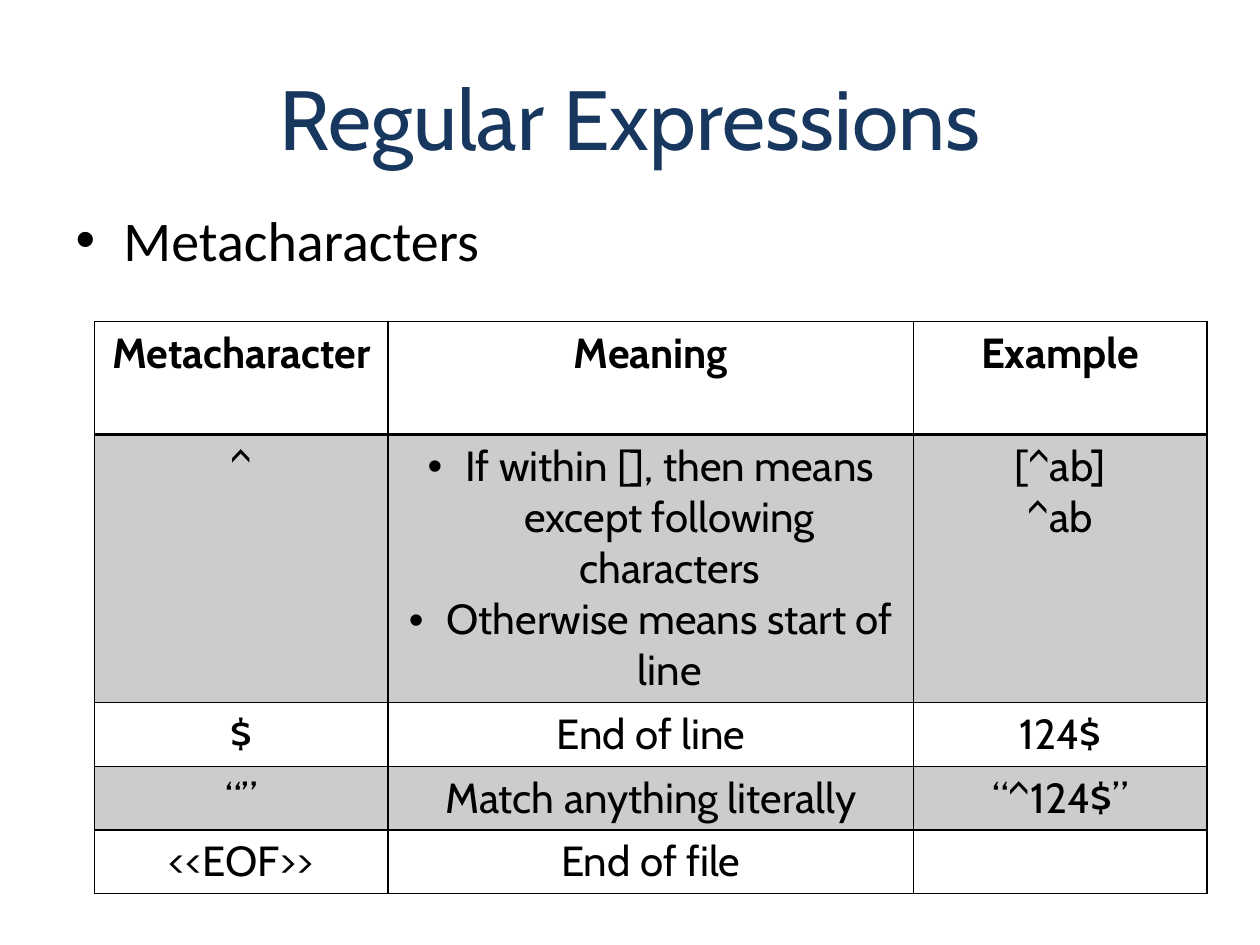
from pptx import Presentation
from pptx import util as u
from pptx.dml.color import RGBColor
from pptx.enum import text
from pptx.oxml import parse_xml
from pptx.oxml.ns import nsdecls, qn

THEME = {
    "title": {"name": "Cabin", "size": u.Pt(48), "color": "17375E"},
    "body": {"name": "Calibri", "size": u.Pt(32), "color": "000000"},
    "header": {"name": "Cabin", "size": u.Pt(24), "bold": True, "color": "000000"},
    "cell": {"name": "Cabin", "size": u.Pt(24), "bold": False, "color": "000000"},
    "line": "000000",
    "band": "000000",
    "band_alpha": 20,
    "thin": 0.96,
    "thick": 1.98,
}
COLUMNS = [2.33, 4.17, 2.33]
ROWS = [0.9, 2.1, 0.5, 0.5, 0.5]
CELLS = [
    ["Metacharacter", "Meaning", "Example"],
    ["^", "If within [], then means except following characters\nOtherwise means start of line",
     "[^ab]\n^ab"],
    ["$", "End of line", "124$"],
    ["“”", "Match anything literally", "“^124$”"],
    ["<<EOF>>", "End of file", ""],
]


def format_paragraph(paragraph, style, alignment, bullet_indent=None):
    """Apply a theme style, and a hanging bullet when an indent in inches is given."""
    paragraph.alignment = alignment
    if bullet_indent:
        properties = paragraph._p.get_or_add_pPr()
        properties.set("marL", str(u.Inches(bullet_indent)))
        properties.set("indent", str(-u.Inches(bullet_indent)))
        for xml in ('<a:buFont {} typeface="Arial"/>', '<a:buChar {} char="•"/>'):
            properties.append(parse_xml(xml.format(nsdecls("a"))))
    for key, value in THEME[style].items():
        if key == "color":
            paragraph.font.color.rgb = RGBColor.from_string(value)
        else:
            setattr(paragraph.font, key, value)


def add_border(cell, side, width):
    cell._tc.get_or_add_tcPr().append(parse_xml(
        f'<a:ln{side} {nsdecls("a")} w="{u.Pt(width)}"><a:solidFill>'
        f'<a:srgbClr val="{THEME["line"]}"/></a:solidFill></a:ln{side}>'))


presentation = Presentation()
presentation.slide_width, presentation.slide_height = u.Inches(10), u.Inches(7.5)
slide = presentation.slides.add_slide(presentation.slide_layouts[1])

# Title and list
title, body = slide.placeholders
for shape, words, box, style, alignment, anchor, indent in [
    (title, "Regular Expressions", (0.5, 0.3, 9, 1.25), "title",
     text.PP_ALIGN.CENTER, text.MSO_ANCHOR.MIDDLE, None),
    (body, "Metacharacters", (0.5, 1.58, 9.33, 5.92), "body",
     text.PP_ALIGN.LEFT, text.MSO_ANCHOR.TOP, 0.38),
]:
    shape.left, shape.top, shape.width, shape.height = map(u.Inches, box)
    frame = shape.text_frame
    frame.text = words
    frame.vertical_anchor = anchor
    frame.auto_size = text.MSO_AUTO_SIZE.NONE
    format_paragraph(frame.paragraphs[0], style, alignment, indent)
    frame.paragraphs[0].space_before = u.Pt(0)

# Metacharacter table
table = slide.shapes.add_table(
    len(ROWS), len(COLUMNS), u.Inches(0.75), u.Inches(2.55),
    u.Inches(sum(COLUMNS)), u.Inches(sum(ROWS))).table
table.horz_banding = False
for column, width in zip(table.columns, COLUMNS):
    column.width = u.Inches(width)

for r, (row, height) in enumerate(zip(table.rows, ROWS)):
    row.height = u.Inches(height)
    for cell, words in zip(row.cells, CELLS[r]):
        cell.text = words
        paragraphs = cell.text_frame.paragraphs
        bulleted = words.startswith("If within")
        for paragraph in paragraphs:
            format_paragraph(paragraph, "cell" if r else "header",
                             text.PP_ALIGN.CENTER, 0.3 if bulleted else None)
        for side in "LRTB":
            heavy = (r, side) in [(0, "B"), (1, "T")]
            add_border(cell, side, THEME["thick" if heavy else "thin"])
        if r % 2:
            cell.fill.solid()
            cell.fill.fore_color.rgb = RGBColor.from_string(THEME["band"])
            color = cell._tc.tcPr.find(qn("a:solidFill"))[0]
            color.append(parse_xml(
                f'<a:alpha {nsdecls("a")} val="{THEME["band_alpha"] * 1000}"/>'))
        else:
            cell.fill.background()

presentation.save("out.pptx")
